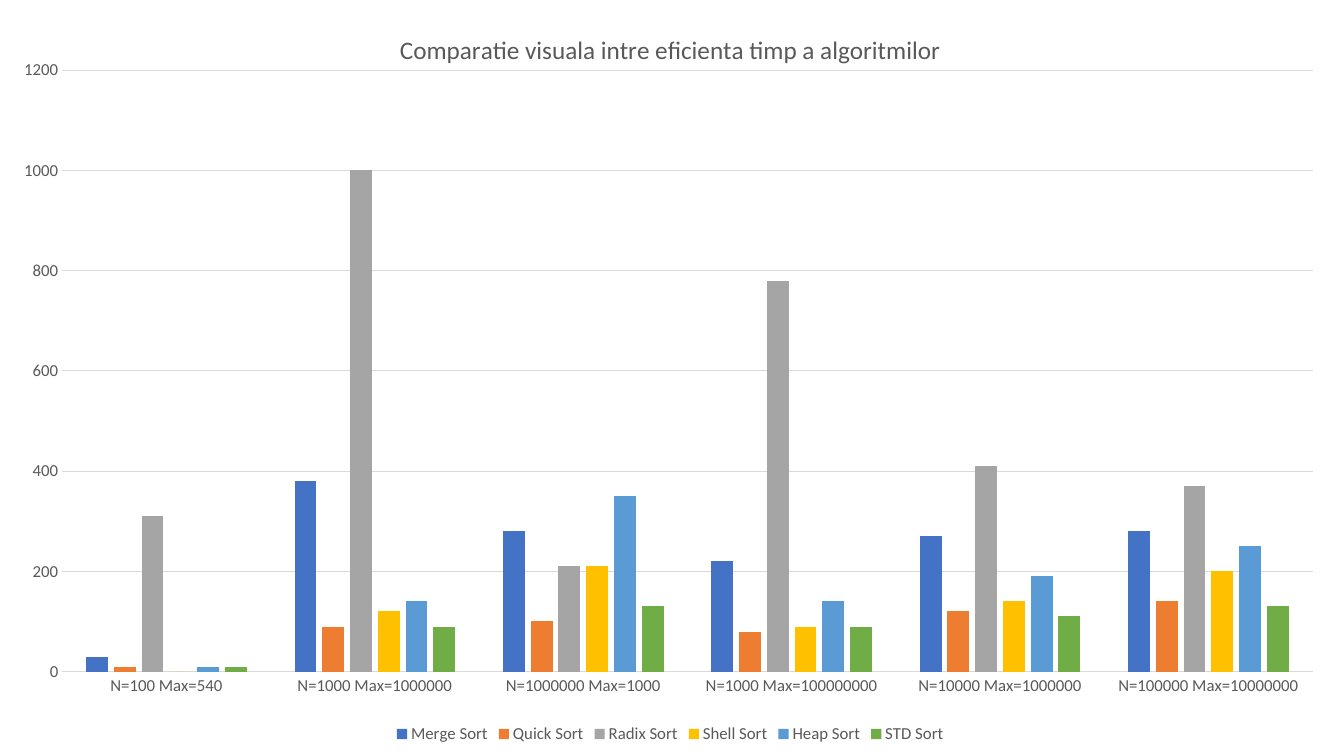
from dataclasses import dataclass

from lxml.etree import SubElement
from pptx import Presentation
from pptx.chart.data import CategoryChartData
from pptx.dml.color import RGBColor
from pptx.enum.chart import XL_CHART_TYPE, XL_LEGEND_POSITION, XL_TICK_MARK
from pptx.oxml.ns import qn
from pptx.util import Cm, Pt


@dataclass(frozen=True)
class Theme:
    font: str = "Calibri"
    text: RGBColor = RGBColor(0x59, 0x59, 0x59)
    line: RGBColor = RGBColor(0xD9, 0xD9, 0xD9)
    title_size: Pt = Pt(18)
    label_size: Pt = Pt(12)
    line_width: Pt = Pt(0.75)


theme = Theme()


def format_font(font, size):
    values = {"name": theme.font, "size": size, "bold": False}
    for name, value in values.items():
        setattr(font, name, value)
    font.color.rgb = theme.text


def format_line(line):
    line.color.rgb = theme.line
    line.width = theme.line_width


# Data: running time of each algorithm per test
tests = [
    "N=100 Max=540", "N=1000 Max=1000000", "N=1000000 Max=1000",
    "N=1000 Max=100000000", "N=10000 Max=1000000", "N=100000 Max=10000000",
]
algorithms = [
    ("Merge Sort", "4472C4", (30, 380, 280, 220, 270, 280)),
    ("Quick Sort", "ED7D31", (10, 90, 100, 80, 120, 140)),
    ("Radix Sort", "A5A5A5", (310, 1000, 210, 780, 410, 370)),
    ("Shell Sort", "FFC000", (0, 120, 210, 90, 140, 200)),
    ("Heap Sort", "5B9BD5", (10, 140, 350, 140, 190, 250)),
    ("STD Sort", "70AD47", (10, 90, 130, 90, 110, 130)),
]
chart_data = CategoryChartData()
chart_data.categories = tests
for name, color, times in algorithms:
    chart_data.add_series(name, times)

# Slide
deck = Presentation()
deck.slide_width, deck.slide_height = Cm(33.87), Cm(19.05)
page = deck.slides.add_slide(deck.slide_layouts[6])

# Chart
chart = page.shapes.add_chart(
    XL_CHART_TYPE.COLUMN_CLUSTERED,
    Cm(0.2), Cm(0.18), Cm(33.38), Cm(18.67), chart_data,
).chart
format_font(chart.font, theme.label_size)

# Chart title
chart.has_title = True
title_frame = chart.chart_title.text_frame
title_frame.text = "Comparatie visuala intre eficienta timp a algoritmilor"
format_font(title_frame.paragraphs[0].runs[0].font, theme.title_size)
chart.chart_title.include_in_layout = False

# Legend
chart.has_legend = True
chart.legend.position = XL_LEGEND_POSITION.BOTTOM
chart.legend.include_in_layout = False
format_font(chart.legend.font, theme.label_size)

# Axes
for axis in (chart.category_axis, chart.value_axis):
    axis.major_tick_mark = XL_TICK_MARK.NONE
    axis.minor_tick_mark = XL_TICK_MARK.NONE
    format_font(axis.tick_labels.font, theme.label_size)
format_line(chart.category_axis.format.line)
value_axis = chart.value_axis
value_axis.format.line.fill.background()
format_line(value_axis.major_gridlines.format.line)
scale = {"minimum_scale": 0, "maximum_scale": 1200, "major_unit": 200}
for name, value in scale.items():
    setattr(value_axis, name, value)

# Columns
plot = chart.plots[0]
columns = {"gap_width": 219, "overlap": -27, "vary_by_categories": False}
for name, value in columns.items():
    setattr(plot, name, value)
for series, (name, color, times) in zip(plot.series, algorithms):
    series.format.fill.solid()
    series.format.fill.fore_color.rgb = RGBColor.from_string(color)

# Plot area position, as shares of the chart
plot_area = chart.element.find(".//" + qn("c:plotArea"))
layout = plot_area.find(qn("c:layout"))
if layout is None:
    layout = SubElement(plot_area, qn("c:layout"))
    plot_area.insert(0, layout)
manual = SubElement(layout, qn("c:manualLayout"))
placement = {
    "layoutTarget": "inner", "xMode": "edge", "yMode": "edge",
    "x": 0.041, "y": 0.085, "w": 0.944, "h": 0.812,
}
for name, value in placement.items():
    SubElement(manual, qn("c:" + name)).set("val", str(value))

deck.save("out.pptx")
